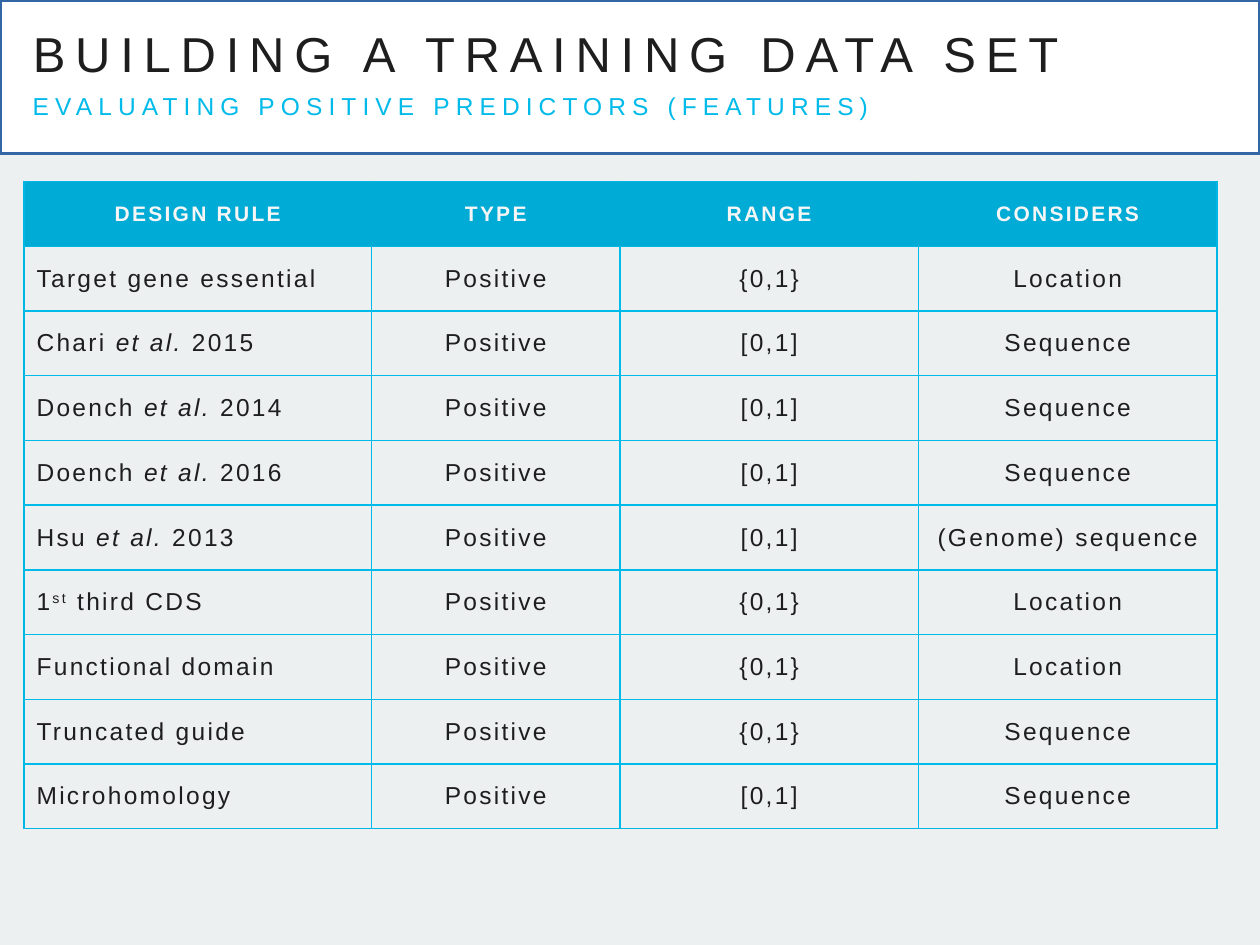
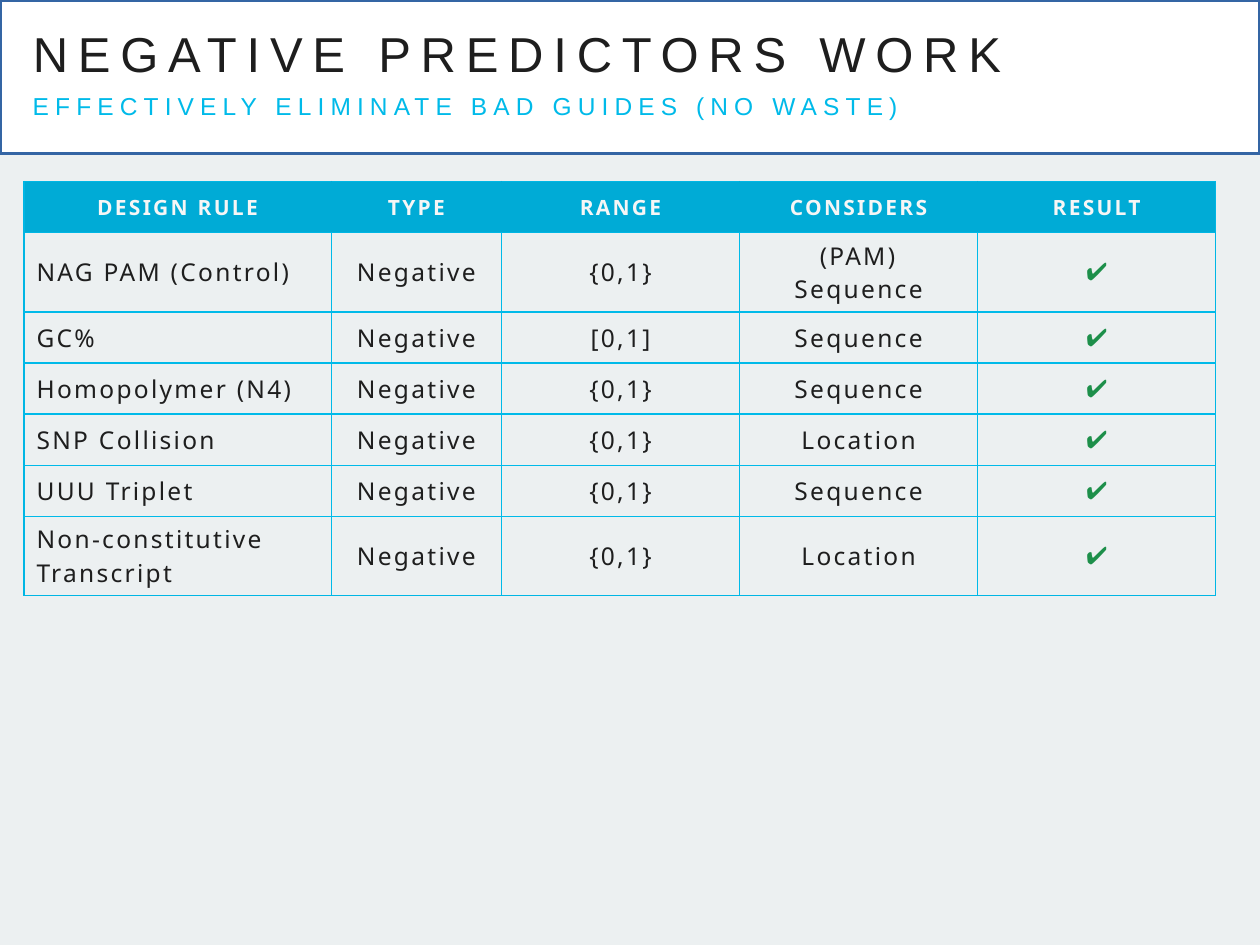
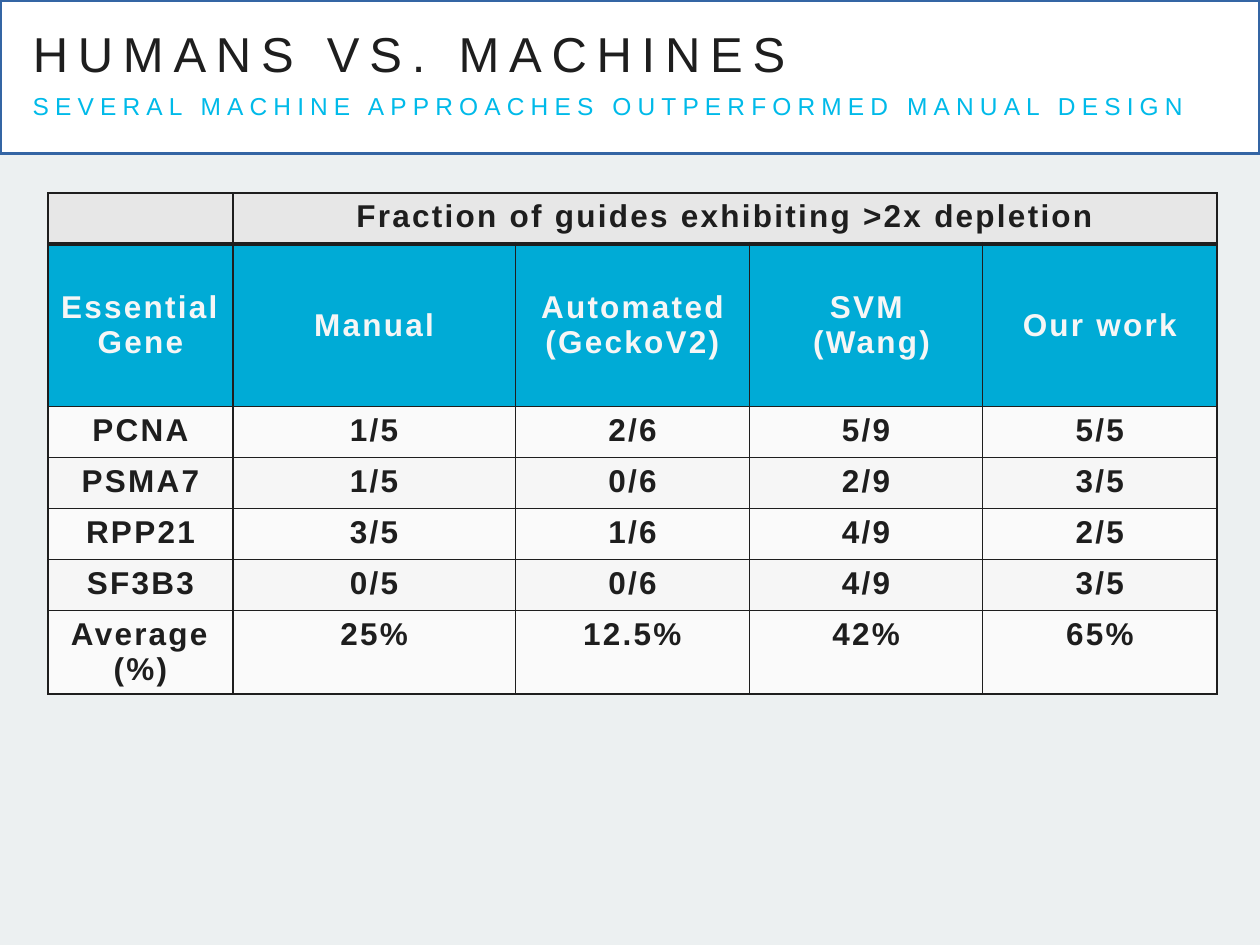
import pptx
import pptx.dml.color
import pptx.enum.shapes
import pptx.enum.text
import pptx.oxml.ns
import pptx.util
from lxml import etree

Inches = pptx.util.Inches
Pt = pptx.util.Pt
ALIGN = pptx.enum.text.PP_ALIGN
ANCHOR = pptx.enum.text.MSO_ANCHOR
qn = pptx.oxml.ns.qn

COLORS = {
    "background": "ECF0F1",
    "band": "FFFFFF",
    "band_line": "3465A4",
    "ink": "1E1E1E",
    "accent": "00BAE9",
    "frame": "00B6E4",
    "header": "00ABD6",
    "header_text": "F6F6F6",
    "check": "1D8F4A",
    "caption": "E7E7E7",
    "light": "FAFAFA",
    "stripe": "F6F6F6",
}
TABLE_SPACING = 1.3
ROW_HEIGHT = 29.2 / 72
TALL_ROW_HEIGHT = 37 / 72
CHECK = [("✔", {"font": "Arial", "color": "check"})]


def rgb(name):
    return pptx.dml.color.RGBColor.from_string(COLORS[name])


def add_run(p, text, size=14, font="Arial", color="ink", bold=False,
            italic=False, spacing=TABLE_SPACING, baseline=0):
    r = p.add_run()
    r.text = text
    r.font.size = Pt(size)
    r.font.name = font
    r.font.color.rgb = rgb(color)
    r.font.bold = bold
    r.font.italic = italic
    r_pr = r.font._element
    r_pr.set("spc", str(round(spacing * 100)))
    if baseline:
        r_pr.set("baseline", str(baseline * 1000))


def write_text(tf, content, align=ALIGN.LEFT, **fmt):
    paragraphs = content.split("\n") if isinstance(content, str) else [content]
    for i, runs in enumerate(paragraphs):
        p = tf.add_paragraph() if i else tf.paragraphs[0]
        p.alignment = align
        if isinstance(runs, str):
            runs = [(runs, {})]
        for text, changes in runs:
            add_run(p, text, **{**fmt, **changes})


def cite(author, year):
    return [(f"{author} ", {}), ("et al.", {"italic": True}), (f" {year}", {})]


def set_borders(cell, **sides):
    tc_pr = cell._tc.get_or_add_tcPr()
    for i, side in enumerate("LRTB"):
        color, width = sides[side]
        ln = etree.Element(qn(f"a:ln{side}"), w=str(int(Pt(width))))
        fill = etree.SubElement(ln, qn("a:solidFill"))
        etree.SubElement(fill, qn("a:srgbClr"), val=COLORS[color])
        tc_pr.insert(i, ln)


def fill_cell(cell, color=None):
    if color:
        cell.fill.solid()
        cell.fill.fore_color.rgb = rgb(color)
    else:
        cell.fill.background()


def add_table(s, left, top, widths, heights):
    frame = s.shapes.add_table(len(heights), len(widths), Inches(left), Inches(top),
                               Inches(sum(widths)), Inches(sum(heights)))
    table = frame.table
    table.first_row = False
    table.horz_banding = False
    for column, width in zip(table.columns, widths):
        column.width = Inches(width)
    for row, height in zip(table.rows, heights):
        row.height = Inches(height)
    return table


def add_rule_table(s, widths, row_height, rows, font):
    table = add_table(s, 0.19, 1.44, widths, [row_height] * len(rows))
    last_row, last_col = len(rows) - 1, len(widths) - 1
    outer, inner, hidden = ("frame", 0.75), ("accent", 1), ("header", 0.75)
    for i, row in enumerate(rows):
        for j, content in enumerate(row):
            cell = table.cell(i, j)
            header = i == 0
            between = hidden if header else inner
            fill_cell(cell, "header" if header else None)
            set_borders(cell,
                        L=outer if j == 0 else between,
                        R=outer if j == last_col else between,
                        T=outer if i <= 1 else inner,
                        B=outer if i in (0, last_row) else inner)
            cell.vertical_anchor = ANCHOR.MIDDLE
            write_text(cell.text_frame, content, font=font,
                       align=ALIGN.CENTER if header or j else ALIGN.LEFT,
                       size=12 if header else 14, bold=header,
                       color="header_text" if header else "ink")


def add_result_table(s, rows):
    table = add_table(s, 0.38, 1.53, [1.47, 2.24, 1.86, 1.85, 1.86],
                      [ROW_HEIGHT, 1.29] + [ROW_HEIGHT] * (len(rows) - 2))
    table.cell(0, 1).merge(table.cell(0, 4))
    thin, thick = ("ink", 1), ("ink", 3)
    for i, row in enumerate(rows):
        fill = ["caption", "header"][i] if i < 2 else ["light", "stripe"][i % 2]
        for j, content in enumerate(row):
            cell = table.cell(i, j)
            fill_cell(cell, fill)
            set_borders(cell, L=thin, R=thin,
                        T=thick if i == 1 else thin,
                        B=thick if i == 0 else thin)
            cell.vertical_anchor = ANCHOR.MIDDLE if i == 1 else ANCHOR.TOP
            if content:
                write_text(cell.text_frame, content, align=ALIGN.CENTER, size=18,
                           bold=True, color="header_text" if i == 1 else "ink")


def add_band(s):
    sp = s.shapes.add_shape(pptx.enum.shapes.MSO_SHAPE.RECTANGLE, 0, 0,
                            Inches(10), Inches(1.22))
    sp.shadow.inherit = False
    sp.fill.solid()
    sp.fill.fore_color.rgb = rgb("band")
    sp.line.color.rgb = rgb("band_line")
    sp.line.width = Pt(2)
    s.shapes._spTree.insert(2, sp._element)


def format_heading(sp, text, box, **fmt):
    sp.left, sp.top, sp.width, sp.height = [Inches(v) for v in box]
    tf = sp.text_frame
    tf.word_wrap = True
    tf.auto_size = pptx.enum.text.MSO_AUTO_SIZE.NONE
    tf.vertical_anchor = ANCHOR.TOP
    tf.margin_left = tf.margin_right = Inches(0.07)
    tf.margin_top = tf.margin_bottom = Inches(0.04)
    write_text(tf, text, **fmt)


def add_slide(prs, title, subtitle, title_width=9.02):
    s = prs.slides.add_slide(prs.slide_layouts[5])
    add_band(s)
    format_heading(s.shapes.title, title, (0.19, 0.15, title_width, 0.53),
                   size=28, spacing=5.6)
    sp = s.shapes.add_textbox(0, 0, 0, 0)
    format_heading(sp, subtitle, (0.19, 0.68, 9.47, 0.48),
                   size=14, spacing=3.5, color="accent")
    return s


def main():
    prs = pptx.Presentation()
    prs.slide_width, prs.slide_height = Inches(10), Inches(7.5)
    background = prs.slide_master.background.fill
    background.solid()
    background.fore_color.rgb = rgb("background")

    s = add_slide(prs, "BUILDING A TRAINING DATA SET",
                  "EVALUATING POSITIVE PREDICTORS (FEATURES)")
    positive = [
        ("Target gene essential", "{0,1}", "Location"),
        (cite("Chari", 2015), "[0,1]", "Sequence"),
        (cite("Doench", 2014), "[0,1]", "Sequence"),
        (cite("Doench", 2016), "[0,1]", "Sequence"),
        (cite("Hsu", 2013), "[0,1]", "(Genome) sequence"),
        ([("1", {}), ("st", {"baseline": 30}), (" third CDS", {})], "{0,1}", "Location"),
        ("Functional domain", "{0,1}", "Location"),
        ("Truncated guide", "{0,1}", "Sequence"),
        ("Microhomology", "[0,1]", "Sequence"),
    ]
    header = ["DESIGN RULE", "TYPE", "RANGE", "CONSIDERS"]
    rows = [[rule, "Positive", span, basis] for rule, span, basis in positive]
    add_rule_table(s, [2.76, 1.97, 2.37, 2.37], TALL_ROW_HEIGHT, [header] + rows, "Arial")

    s = add_slide(prs, "NEGATIVE PREDICTORS WORK",
                  "EFFECTIVELY ELIMINATE BAD GUIDES (NO WASTE)")
    negative = [
        ("NAG PAM (Control)", "{0,1}", "(PAM) Sequence"),
        ("GC%", "[0,1]", "Sequence"),
        ("Homopolymer (N4)", "{0,1}", "Sequence"),
        ("SNP Collision", "{0,1}", "Location"),
        ("UUU Triplet", "{0,1}", "Sequence"),
        ("Non-constitutive Transcript", "{0,1}", "Location"),
    ]
    rows = [[rule, "Negative", span, basis, CHECK] for rule, span, basis in negative]
    add_rule_table(s, [2.44, 1.35] + [1.89] * 3, ROW_HEIGHT,
                   [header + ["RESULT"]] + rows, "Noto Sans")

    s = add_slide(prs, "HUMANS VS. MACHINES",
                  "SEVERAL MACHINE APPROACHES OUTPERFORMED MANUAL DESIGN",
                  title_width=8.6)
    add_result_table(s, [
        ["", "Fraction of guides exhibiting >2x depletion", "", "", ""],
        ["Essential Gene", "Manual", "Automated\n(GeckoV2)", "SVM\n (Wang)", "Our work"],
        ["PCNA", "1/5", "2/6", "5/9", "5/5"],
        ["PSMA7", "1/5", "0/6", "2/9", "3/5"],
        ["RPP21", "3/5", "1/6", "4/9", "2/5"],
        ["SF3B3", "0/5", "0/6", "4/9", "3/5"],
        ["Average (%)", "25%", "12.5%", "42%", "65%"],
    ])
    prs.save("out.pptx")


if __name__ == "__main__":
    main()
